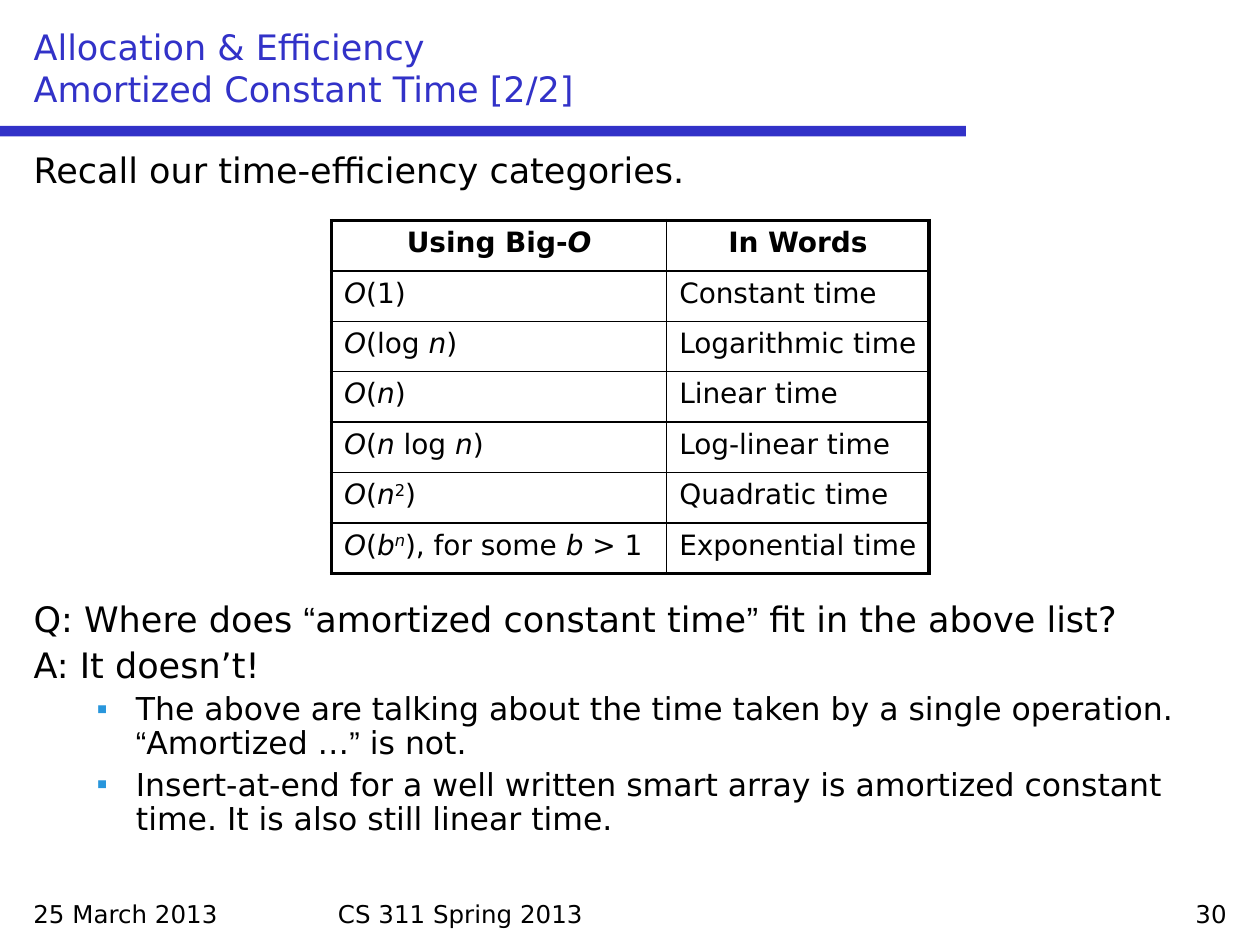
from itertools import groupby

from pptx import Presentation
from pptx.dml.color import RGBColor
from pptx.enum import shapes, text
from pptx.oxml import parse_xml
from pptx.oxml.ns import nsdecls
from pptx.util import Pt

BLACK = RGBColor(0, 0, 0)
BLUE = RGBColor(0x32, 0x32, 0xC8)
BULLET = RGBColor(0x28, 0x96, 0xDC)
FONT, QUOTE_FONT = "DejaVu Sans", "Arial"

BODY = [
    (0, 0, "Recall our time-efficiency categories."),
    (0, 235, "Q: Where does “amortized constant time” fit in the above list?"),
    (0, 4.7, "A: It doesn’t!"),
    (1, 4.2, "The above are talking about the time taken by a single operation. "
             "“Amortized …” is not."),
    (1, 4.2, "Insert-at-end for a well written smart array is amortized constant "
             "time. It is also still linear time."),
]
HEADER = ([("Using Big-", "b"), ("O", "bi")], "In Words")
CATEGORIES = [
    ([("(1)", "")], "Constant time"),
    ([("(log ", ""), ("n", "i"), (")", "")], "Logarithmic time"),
    ([("(", ""), ("n", "i"), (")", "")], "Linear time"),
    ([("(", ""), ("n", "i"), (" log ", ""), ("n", "i"), (")", "")], "Log-linear time"),
    ([("(", ""), ("n", "i"), ("2", "s"), (")", "")], "Quadratic time"),
    ([("(", ""), ("b", "i"), ("n", "is"), ("), for some ", ""), ("b", "i"),
      (" > 1", "")], "Exponential time"),
]


def style(r, size, color=BLACK, name=FONT, flags=""):
    f = r.font
    f.size, f.name, f.color.rgb = Pt(size), name, color
    f.bold, f.italic = "b" in flags, "i" in flags
    if "s" in flags:
        r._r.get_or_add_rPr().set("baseline", "30000")


def place(sp, x, y, w, h):
    sp.left, sp.top, sp.width, sp.height = Pt(x), Pt(y), Pt(w), Pt(h)


def add_title(s, x, y, w, h):
    sp = s.shapes.title
    place(sp, x, y, w, h)
    tf = sp.text_frame
    tf.auto_size = text.MSO_AUTO_SIZE.NONE
    tf.vertical_anchor = text.MSO_ANCHOR.BOTTOM
    tf.text = "Allocation & Efficiency\vAmortized Constant Time [2/2]"
    p = tf.paragraphs[0]
    p.alignment = text.PP_ALIGN.LEFT
    for r in p.runs:
        style(r, 20, BLUE)


def add_rule(s, x, y, w, h):
    sp = s.shapes.add_shape(shapes.MSO_SHAPE.RECTANGLE, Pt(x), Pt(y), Pt(w), Pt(h))
    sp.shadow.inherit = False
    sp.fill.solid()
    sp.fill.fore_color.rgb = BLUE
    sp.line.fill.background()


def set_bullet(p, level):
    pPr = p._p.get_or_add_pPr()
    left, hang = ((27, 27), (58.5, 22.5))[level]
    pPr.set("marL", str(Pt(left)))
    pPr.set("indent", str(-Pt(hang)))
    if level == 0:
        pPr.append(parse_xml(f"<a:buNone {nsdecls('a')}/>"))
        return
    pPr.append(parse_xml(f'<a:buClr {nsdecls("a")}><a:srgbClr val="{BULLET}"/></a:buClr>'))
    pPr.append(parse_xml(f'<a:buChar {nsdecls("a")} char="▪"/>'))


def add_body(s, x, y, w, h):
    sp = s.placeholders[1]
    place(sp, x, y, w, h)
    tf = sp.text_frame
    tf.auto_size = text.MSO_AUTO_SIZE.NONE
    for i, (level, before, words) in enumerate(BODY):
        p = tf.add_paragraph() if i else tf.paragraphs[0]
        p.level = level
        p.line_spacing = 0.9
        p.space_before = Pt(before)
        set_bullet(p, level)
        for quote, chars in groupby(words, lambda c: c in "“”"):
            r = p.add_run()
            r.text = "".join(chars)
            style(r, 20 - 2 * level, name=QUOTE_FONT if quote else FONT)


def set_borders(cell, widths):
    tcPr = cell._tc.get_or_add_tcPr()
    for i, (side, width) in enumerate(zip("LRTB", widths)):
        tcPr.insert(i, parse_xml(
            f'<a:ln{side} {nsdecls("a")} w="{Pt(width)}"><a:solidFill>'
            f'<a:srgbClr val="{BLACK}"/></a:solidFill></a:ln{side}>'))


def add_categories(s, x, y, col_widths, row_height):
    rows = [HEADER] + [([("O", "i")] + runs, words) for runs, words in CATEGORIES]
    n, m = len(rows), len(col_widths)
    frame = s.shapes.add_table(n, m, Pt(x), Pt(y), Pt(sum(col_widths)), Pt(n * row_height))
    tbl = frame.table
    tbl.first_row = tbl.horz_banding = False
    for col, w in zip(tbl.columns, col_widths):
        col.width = Pt(w)
    for i, row in enumerate(rows):
        tbl.rows[i].height = Pt(row_height)
        for j, content in enumerate(row):
            cell = tbl.cell(i, j)
            cell.fill.background()
            edges = (j == 0, j == m - 1, i == 0, i == n - 1)
            set_borders(cell, [2.25 if outer else 1 for outer in edges])
            p = cell.text_frame.paragraphs[0]
            p.alignment = text.PP_ALIGN.LEFT if i else text.PP_ALIGN.CENTER
            if j:
                content = [(content, "" if i else "b")]
            for words, flags in content:
                r = p.add_run()
                r.text = words
                style(r, 16, flags=flags)


def add_footer(s, x, y, w, h):
    left, right = text.PP_ALIGN.LEFT, text.PP_ALIGN.RIGHT
    for dx, width, words, align in [(0, 168, "25 March 2013", left),
                                    (174, 348, "CS 311 Spring 2013", left),
                                    (w - 168, 168, "30", right)]:
        tf = s.shapes.add_textbox(Pt(x + dx), Pt(y), Pt(width), Pt(h)).text_frame
        tf.word_wrap = True
        tf.text = words
        p = tf.paragraphs[0]
        p.alignment = align
        style(p.runs[0], 14)


def main():
    prs = Presentation()
    prs.slide_width, prs.slide_height = Pt(720), Pt(540)
    s = prs.slides.add_slide(prs.slide_layouts[1])
    add_rule(s, 0, 72, 552, 6)
    add_footer(s, 12, 510, 696, 24)
    add_title(s, 12, 12, 696, 54)
    add_body(s, 12, 84, 696, 420)
    add_categories(s, 189.5, 126, (191.5, 150), 28.8)
    prs.save("out.pptx")


if __name__ == "__main__":
    main()
